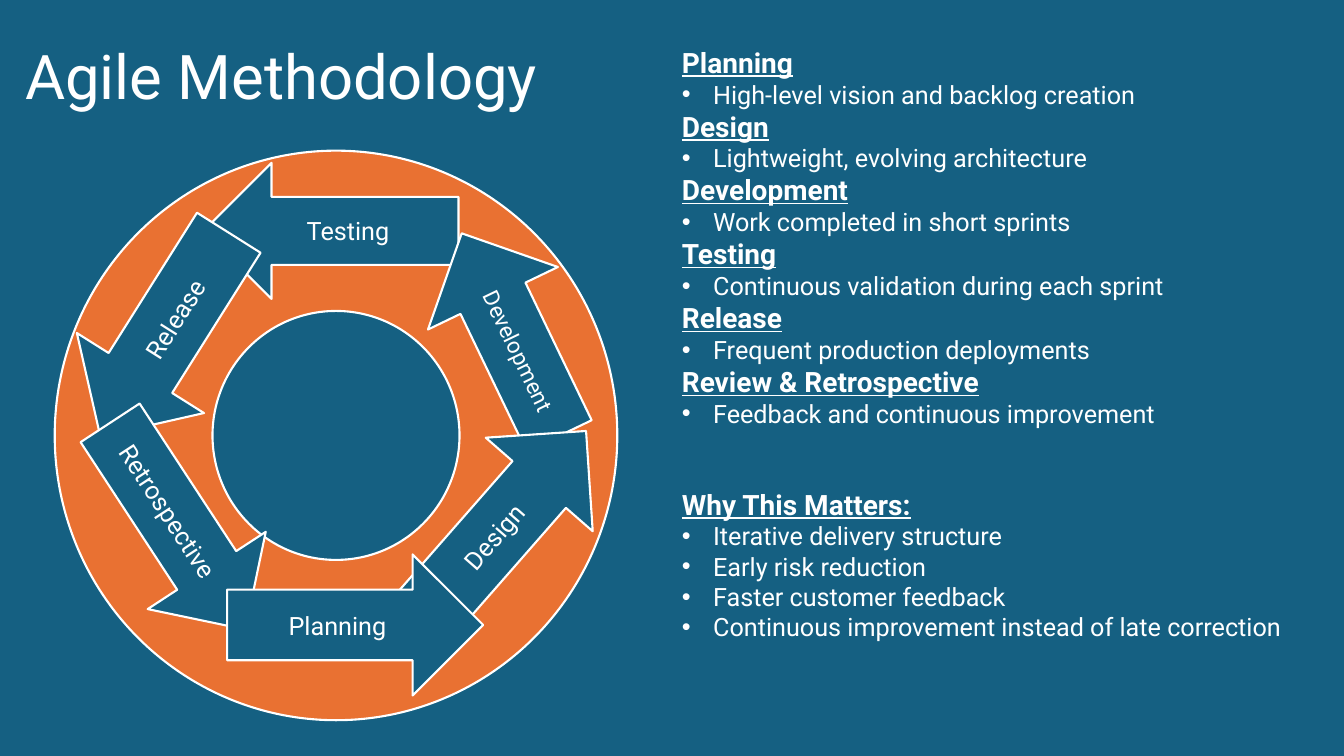
"""Build the Agile Methodology slide: a ring of phase arrows beside its notes."""
from dataclasses import dataclass

from lxml import etree
from pptx import Presentation
from pptx.dml.color import RGBColor
from pptx.enum.shapes import MSO_SHAPE
from pptx.enum.text import MSO_ANCHOR, PP_ALIGN
from pptx.oxml.ns import qn
from pptx.util import Inches, Pt

OVAL, ARROW = MSO_SHAPE.OVAL, MSO_SHAPE.RIGHT_ARROW
MIDDLE, TOP = MSO_ANCHOR.MIDDLE, MSO_ANCHOR.TOP
LEFT, CENTER = PP_ALIGN.LEFT, PP_ALIGN.CENTER

TITLE = "Agile Methodology"
NOTES = [
    ("Planning", ["High-level vision and backlog creation"]),
    ("Design", ["Lightweight, evolving architecture"]),
    ("Development", ["Work completed in short sprints"]),
    ("Testing", ["Continuous validation during each sprint"]),
    ("Release", ["Frequent production deployments"]),
    ("Review & Retrospective", ["Feedback and continuous improvement"]),
    ("Why This Matters:", [
        "Iterative delivery structure",
        "Early risk reduction",
        "Faster customer feedback",
        "Continuous improvement instead of late correction",
    ]),
]
# label, centre offset from the ring centre (x, y), width, height, rotation
PHASES = [
    ("Testing", -0.05, -2.03, 2.53, 1.35, 180),
    ("Development", 1.73, -1, 2.23, 1.43, 244.3),
    ("Release", -1.7, -1, 2.39, 1.49, 122.2),
    ("Design", 1.68, 0.87, 2.43, 1.41, 311.2),
    ("Retrospective", -1.57, 0.9, 2.45, 1.4, 56.8),
    ("Planning", 0.19, 1.88, 2.54, 1.4, 0),
]
WIDTH, HEIGHT = 13.33, 7.5
RING_X, RING_Y = WIDTH * 0.25, HEIGHT * 0.58 - 0.03
RING_SIZE, HUB_SIZE = (5.58, 5.65), (2.45, 2.47)
BULLET_INDENT = 0.31
SECTION_GAP = 42


@dataclass(frozen=True)
class Theme:
    """Colours, font and type sizes."""
    blue: RGBColor = RGBColor(0x15, 0x60, 0x82)
    orange: RGBColor = RGBColor(0xE9, 0x71, 0x32)
    white: RGBColor = RGBColor(0xFF, 0xFF, 0xFF)
    font: str = "Roboto"
    title: int = 44
    heading: int = 20
    body: int = 18
    small: int = 16
    line: float = 1.5


THEME = Theme()


def write(p, text, size=THEME.body, heading=False, align=LEFT, bullet=False,
          before=0, spacing=1.0):
    """Put formatted text in a paragraph."""
    p.alignment, p.line_spacing, p.space_before = align, spacing, Pt(before)
    r = p.add_run()
    r.text = text
    r.font.name, r.font.size = THEME.font, Pt(size)
    r.font.bold = r.font.underline = heading
    r.font.color.rgb = THEME.white
    if bullet:
        pPr = p._p.get_or_add_pPr()
        pPr.set("marL", str(Inches(BULLET_INDENT)))
        pPr.set("indent", str(-Inches(BULLET_INDENT)))
        etree.SubElement(pPr, qn("a:buFont")).set("typeface", "Arial")
        etree.SubElement(pPr, qn("a:buChar")).set("char", "•")


def add_text_frame(s, x, y, w, h, anchor):
    """Add a wrapping text box and return its frame."""
    tf = s.shapes.add_textbox(Inches(x), Inches(y), Inches(w), Inches(h)).text_frame
    tf.word_wrap, tf.vertical_anchor = True, anchor
    return tf


def add_ring_part(s, kind, fill, w, h, dx=0, dy=0):
    """Add an outlined shape centred at an offset from the ring centre."""
    sp = s.shapes.add_shape(kind, Inches(RING_X + dx - w / 2),
                            Inches(RING_Y + dy - h / 2), Inches(w), Inches(h))
    sp.shadow.inherit = False
    sp.fill.solid()
    sp.fill.fore_color.rgb = fill
    sp.line.color.rgb, sp.line.width = THEME.white, Pt(THEME.line)
    return sp


def add_phase(s, label, dx, dy, w, h, rotation):
    """Add a labelled arrow; upper arrows are flipped so labels stay readable."""
    sp = add_ring_part(s, ARROW, THEME.blue, w, h, dx, dy)
    sp.rotation = rotation
    if dy < 0:
        sp._element.spPr.find(qn("a:xfrm")).set("flipV", "1")
    tf = sp.text_frame
    tf.vertical_anchor = MIDDLE
    size = THEME.small if label == "Development" else THEME.body
    write(tf.paragraphs[0], label, size=size, align=CENTER)


def add_notes(s):
    """Add the headings and their bullets, setting the last section apart."""
    tf = add_text_frame(s, WIDTH / 2, 0.4, 6.5, 6.4, TOP)
    p = tf.paragraphs[0]
    for i, (heading, bullets) in enumerate(NOTES):
        if i:
            p = tf.add_paragraph()
        gap = SECTION_GAP if i == len(NOTES) - 1 else 0
        write(p, heading, size=THEME.heading, heading=True, before=gap)
        for text in bullets:
            write(tf.add_paragraph(), text, bullet=True)


def main():
    """Build and save the slide."""
    prs = Presentation()
    prs.slide_width, prs.slide_height = Inches(WIDTH), Inches(HEIGHT)
    s = prs.slides.add_slide(prs.slide_layouts[6])
    s.background.fill.solid()
    s.background.fill.fore_color.rgb = THEME.blue
    tf = add_text_frame(s, 0.15, 0.06, 11.5, 1.45, MIDDLE)
    write(tf.paragraphs[0], TITLE, size=THEME.title, spacing=0.9)
    add_notes(s)
    add_ring_part(s, OVAL, THEME.orange, *RING_SIZE)
    add_ring_part(s, OVAL, THEME.blue, *HUB_SIZE)
    for phase in PHASES:
        add_phase(s, *phase)
    prs.save("out.pptx")


if __name__ == "__main__":
    main()
